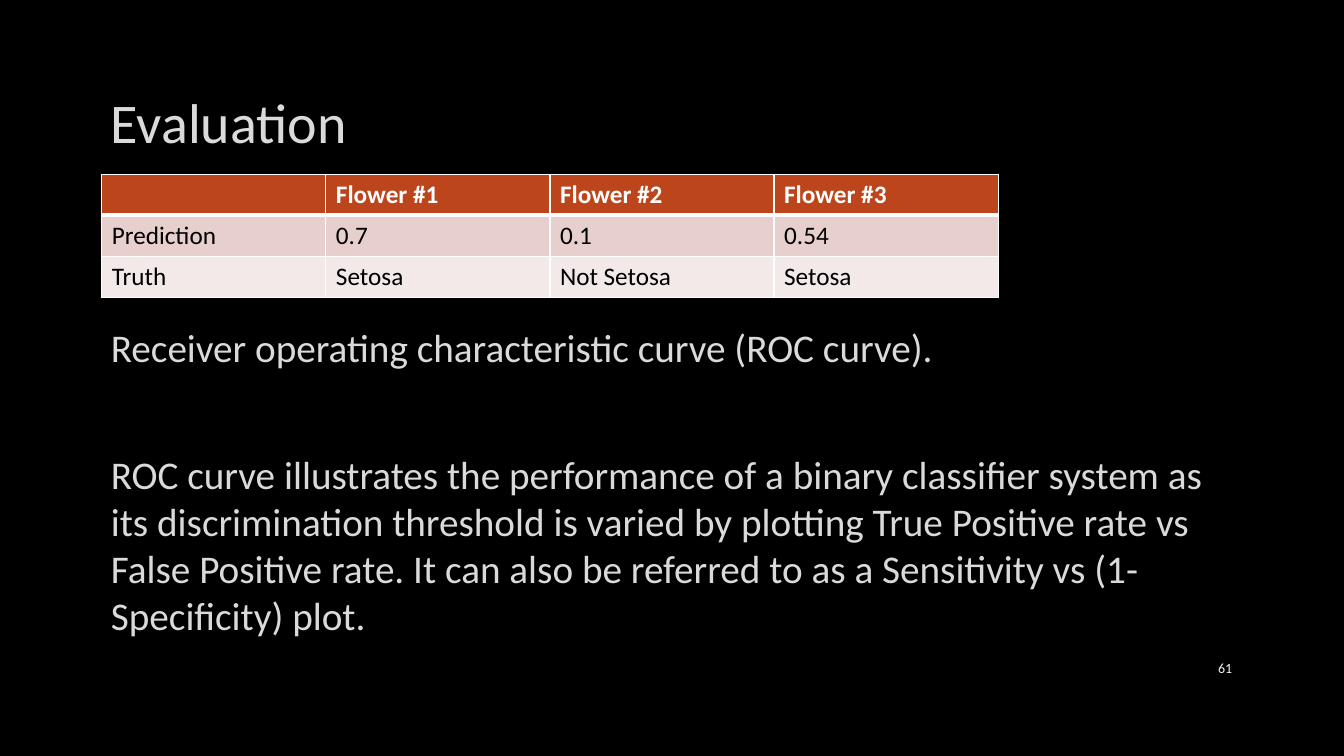
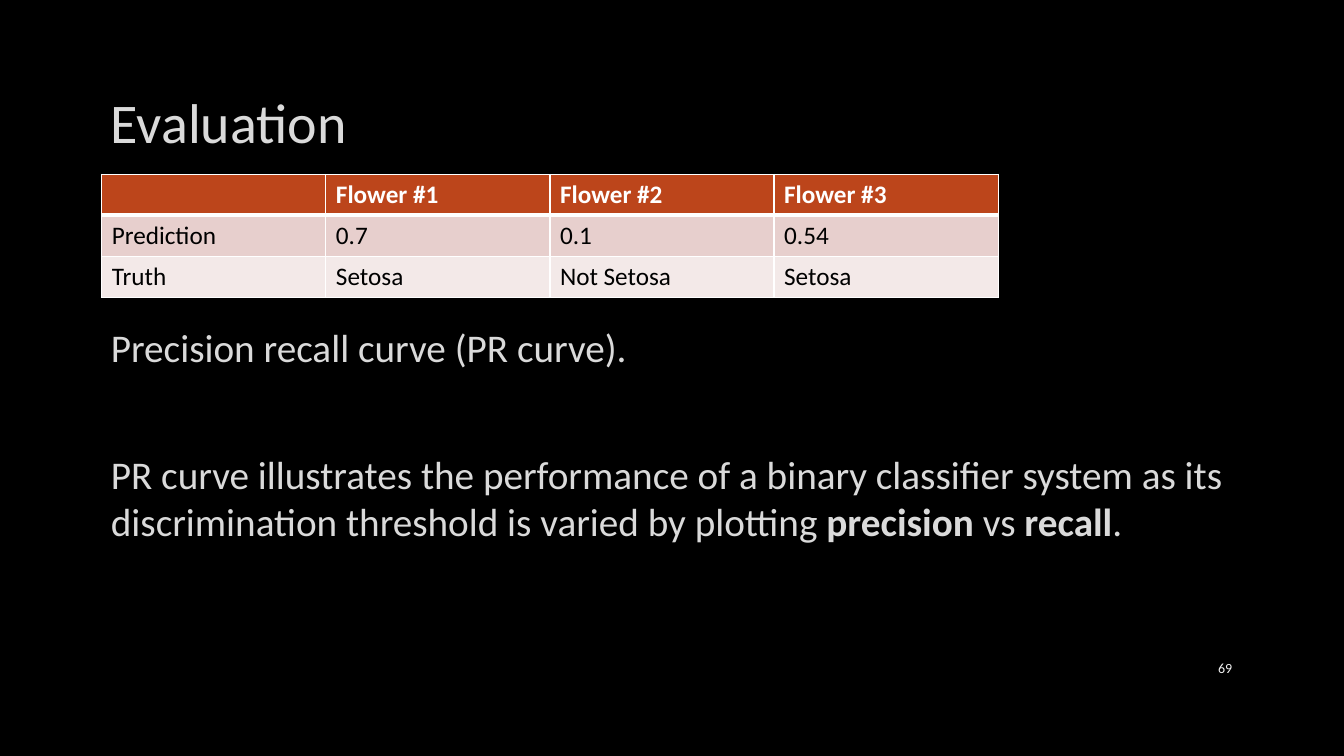
from lxml import etree
from pptx import Presentation
from pptx.dml.color import RGBColor
from pptx.enum import text
from pptx.oxml.ns import qn
from pptx.util import Inches, Pt

FONT = "Calibri"
BLACK, WHITE = "000000", "FFFFFF"
TEXT, OUTLINE, NUMBER = "DADADA", "404040", "F2F2F2"
ROW_FILLS = ["BC451B", "E7CFCD", "F3E9E8"]
FLOWERS = [
    ["", "Flower #1", "Flower #2", "Flower #3"],
    ["Prediction", "0.7", "0.1", "0.54"],
    ["Truth", "Setosa", "Not Setosa", "Setosa"],
]
# Each paragraph is a list of (text, bold) runs.
SLIDES = [
    ("61", [
        [("Receiver operating characteristic curve (ROC curve).", False)],
        [("ROC curve illustrates the performance of a binary classifier system as "
          "its discrimination threshold is varied by plotting True Positive rate vs "
          "False Positive rate. It can also be referred to as a Sensitivity vs "
          "(1-Specificity) plot.", False)],
    ]),
    ("69", [
        [("Precision recall curve (PR curve).", False)],
        [("PR curve illustrates the performance of a binary classifier system as its "
          "discrimination threshold is varied by plotting ", False),
         ("precision ", True), ("vs ", False), ("recall", True), (".", False)],
    ]),
]


def rgb(value):
    return RGBColor.from_string(value)


def add_line(parent, tag, color, width, alpha=100):
    """Append a solid line element of the given width in points."""
    ln = etree.SubElement(parent, qn(tag), w=str(Pt(width)))
    fill = etree.SubElement(ln, qn("a:solidFill"))
    clr = etree.SubElement(fill, qn("a:srgbClr"), val=color)
    if alpha < 100:
        etree.SubElement(clr, qn("a:alpha"), val=str(alpha * 1000))


def add_run(p, content, size, color, bold=False, outlined=False):
    r = p.add_run()
    r.text = content
    if outlined:
        add_line(r.font._element, "a:ln", OUTLINE, 0.75, alpha=10)
    r.font.name = FONT
    r.font.size = Pt(size)
    r.font.bold = bold
    r.font.color.rgb = rgb(color)


def place(sp, left, top, width, height, anchor):
    sp.left, sp.top = Inches(left), Inches(top)
    sp.width, sp.height = Inches(width), Inches(height)
    tf = sp.text_frame
    tf.word_wrap = True
    tf.auto_size = text.MSO_AUTO_SIZE.NONE
    tf.vertical_anchor = anchor
    return tf


def fill_title(s, title):
    tf = place(s.shapes.title, 1, 0.67, 11.32, 1.06, text.MSO_ANCHOR.MIDDLE)
    p = tf.paragraphs[0]
    p.alignment = text.PP_ALIGN.LEFT
    add_run(p, title, 40, TEXT, outlined=True)


def fill_body(s, paragraphs):
    tf = place(s.placeholders[1], 1, 3.16, 11.32, 3.27, text.MSO_ANCHOR.TOP)
    for i, runs in enumerate(paragraphs):
        p = tf.add_paragraph() if i else tf.paragraphs[0]
        p.space_before = Pt(57 if i else 0)
        p.space_after = Pt(0)
        pPr = p._p.get_or_add_pPr()
        pPr.set("marL", "0")
        pPr.set("indent", "0")
        etree.SubElement(pPr, qn("a:buNone"))
        for content, bold in runs:
            add_run(p, content, 28, TEXT, bold, outlined=True)


def add_number(s, number):
    box = s.shapes.add_textbox(0, 0, 0, 0)
    tf = place(box, 11.5, 6.43, 0.82, 0.4, text.MSO_ANCHOR.MIDDLE)
    p = tf.paragraphs[0]
    p.alignment = text.PP_ALIGN.RIGHT
    add_run(p, number, 10, NUMBER)


def format_cell(cell, row):
    tcPr = cell._tc.get_or_add_tcPr()
    top = 3 if row == 1 else 1
    bottom = 3 if row == 0 else 1
    for side, width in (("L", 1), ("R", 1), ("T", top), ("B", bottom)):
        add_line(tcPr, "a:ln" + side, WHITE, width)
    cell.fill.solid()
    cell.fill.fore_color.rgb = rgb(ROW_FILLS[row])


def add_table(s, rows):
    frame = s.shapes.add_table(len(rows), len(rows[0]), Inches(1.01), Inches(1.73),
                               Inches(8.89), Inches(1.22))
    table = frame.table
    for i, values in enumerate(rows):
        for j, value in enumerate(values):
            cell = table.cell(i, j)
            format_cell(cell, i)
            if value:
                header = i == 0
                add_run(cell.text_frame.paragraphs[0], value, 18,
                        WHITE if header else BLACK, bold=header)


def main():
    prs = Presentation()
    prs.slide_width, prs.slide_height = Inches(13.33), Inches(7.5)
    background = prs.slide_master.background.fill
    background.solid()
    background.fore_color.rgb = rgb(BLACK)
    for number, paragraphs in SLIDES:
        s = prs.slides.add_slide(prs.slide_layouts[1])
        fill_title(s, "Evaluation")
        fill_body(s, paragraphs)
        add_number(s, number)
        add_table(s, FLOWERS)
    prs.save("out.pptx")


if __name__ == "__main__":
    main()
